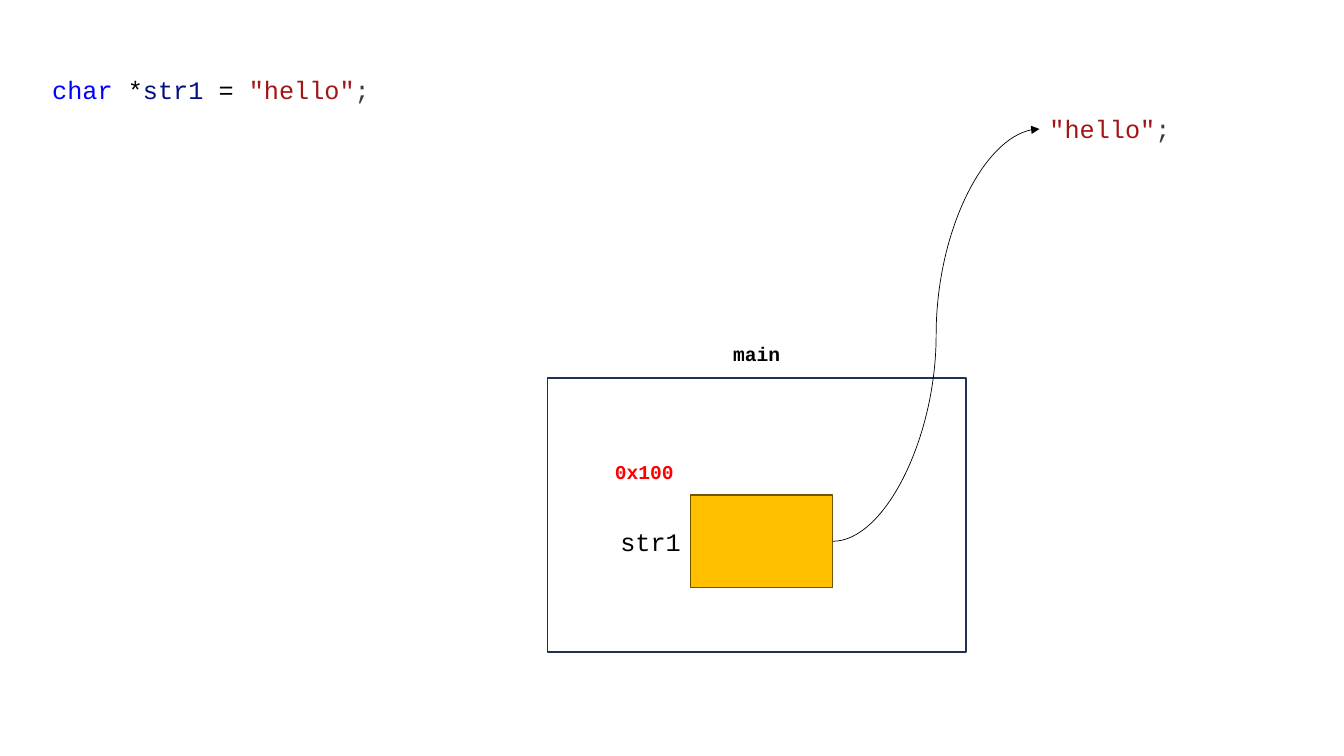
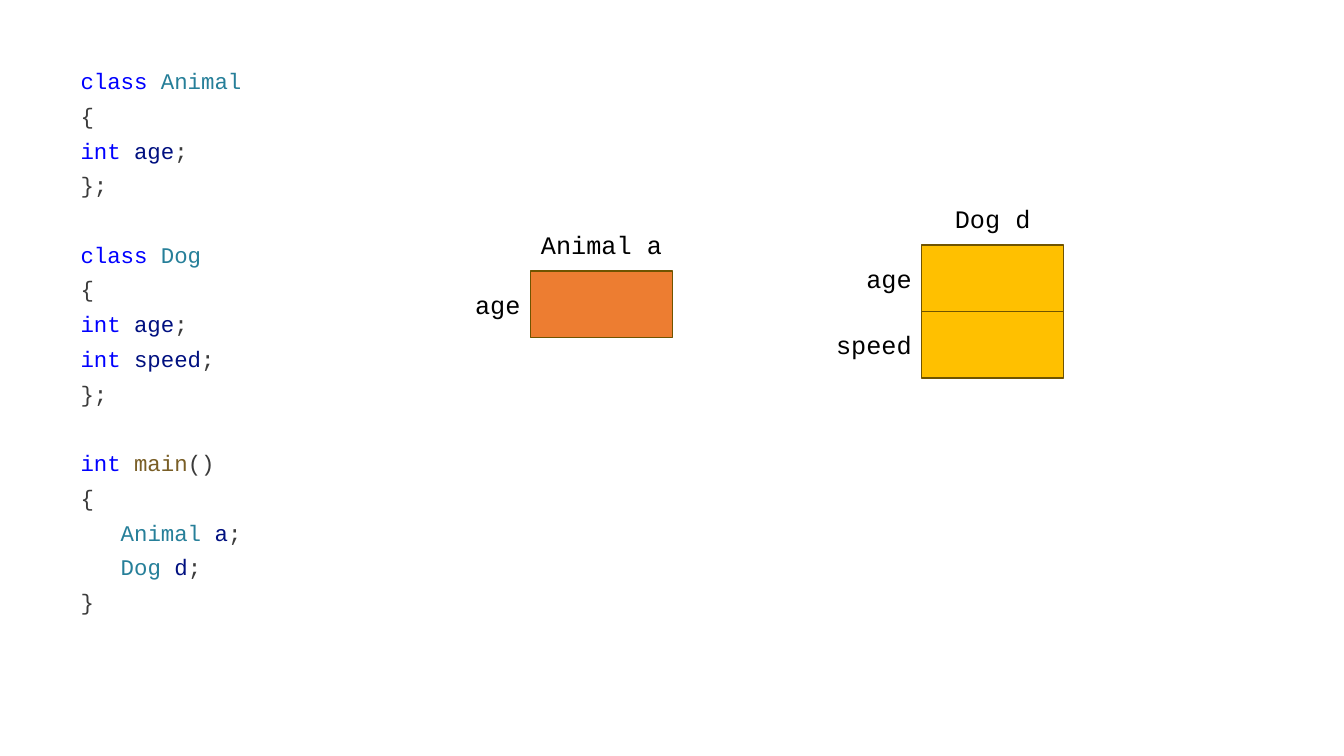
import pptx
import pptx.dml.color
import pptx.enum.shapes
import pptx.enum.text
import pptx.oxml
import pptx.oxml.ns
import pptx.util

Inches = pptx.util.Inches
Pt = pptx.util.Pt
RGBColor = pptx.dml.color.RGBColor
Align = pptx.enum.text.PP_ALIGN

BLACK = RGBColor(0x00, 0x00, 0x00)
WHITE = RGBColor(0xFF, 0xFF, 0xFF)
RED = RGBColor(0xFF, 0x00, 0x00)
AMBER = RGBColor(0xFF, 0xC0, 0x00)
ORANGE = RGBColor(0xED, 0x7D, 0x31)
CELL_BORDER = RGBColor(0x70, 0x54, 0x00)
FRAME_BORDER = RGBColor(0x1E, 0x32, 0x56)
KEYWORD = RGBColor(0x00, 0x00, 0xFF)
TYPE = RGBColor(0x26, 0x7F, 0x99)
VARIABLE = RGBColor(0x00, 0x10, 0x80)
FUNCTION = RGBColor(0x79, 0x5E, 0x26)
STRING = RGBColor(0xA3, 0x15, 0x15)
PUNCTUATION = RGBColor(0x3B, 0x3B, 0x3B)

HELLO = [('"hello"', STRING), (";", PUNCTUATION)]
OPENING = [("{", PUNCTUATION)]
CLOSING = [("};", PUNCTUATION)]


def declaration(type_name, name, colour=KEYWORD):
    return [(type_name + " ", colour), (name, VARIABLE), (";", PUNCTUATION)]


def class_block(name, members):
    fields = [declaration("int", member) for member in members]
    return [[("class ", KEYWORD), (name, TYPE)], OPENING, *fields, CLOSING]


class MemoryDeck:
    """Holds the style and the current slide of a memory-diagram deck."""

    FONT = "Courier New"
    CODE_LINE = Pt(24.8)
    CELL_WIDTH = 1.41
    LABEL_WIDTH = 1.15
    LABEL_HEIGHT = 0.4

    def __init__(self):
        self.presentation = pptx.Presentation()
        self.presentation.slide_width = Inches(13.33)
        self.presentation.slide_height = Inches(7.5)
        self.slide = None

    def new_slide(self):
        self.slide = self.presentation.slides.add_slide(
            self.presentation.slide_layouts[6])

    def text_box(self, left, top, width, height):
        box = self.slide.shapes.add_textbox(
            Inches(left), Inches(top), Inches(width), Inches(height))
        box.text_frame.word_wrap = True
        return box

    def fill_paragraph(self, paragraph, runs, size=18, bold=False,
                       **paragraph_format):
        """Fill a paragraph with (text, colour) runs."""
        for name, value in paragraph_format.items():
            setattr(paragraph, name, value)
        font_format = {"name": self.FONT, "size": Pt(size), "bold": bold}
        for text, colour in runs:
            run = paragraph.add_run()
            run.text = text
            for name, value in font_format.items():
                setattr(run.font, name, value)
            run.font.color.rgb = colour

    def label(self, runs, left, top, width, height=LABEL_HEIGHT,
              alignment=Align.LEFT, **text_format):
        box = self.text_box(left, top, width, height)
        self.fill_paragraph(box.text_frame.paragraphs[0], runs,
                            alignment=alignment, **text_format)
        return box

    def code(self, blocks, left, top, width, height, size):
        """Set blocks of code lines, one line apart from each other."""
        frame = self.text_box(left, top, width, height).text_frame
        for block_index, block in enumerate(blocks):
            for line_index, runs in enumerate(block):
                first = block_index == line_index == 0
                paragraph = frame.paragraphs[0] if first else frame.add_paragraph()
                starts_block = line_index == 0 and not first
                self.fill_paragraph(
                    paragraph, runs, size, line_spacing=self.CODE_LINE,
                    space_before=self.CODE_LINE if starts_block else Pt(0))

    def rectangle(self, left, top, width, height, fill, border):
        shape = self.slide.shapes.add_shape(
            pptx.enum.shapes.MSO_SHAPE.RECTANGLE,
            Inches(left), Inches(top), Inches(width), Inches(height))
        shape.shadow.inherit = False
        shape.fill.solid()
        shape.fill.fore_color.rgb = fill
        shape.line.color.rgb = border
        shape.line.width = Pt(1)
        return shape

    def cell(self, name, left, top, height, fill):
        """Draw a memory cell with its variable name on the left."""
        shape = self.rectangle(left, top, self.CELL_WIDTH, height,
                               fill, CELL_BORDER)
        self.label([(name, BLACK)], left - self.LABEL_WIDTH,
                   top + (height - self.LABEL_HEIGHT) / 2,
                   self.LABEL_WIDTH, alignment=Align.RIGHT)
        return shape

    def instance(self, title, members, left, top, fill, cell_height=0.66):
        """Draw an object as a titled stack of cells."""
        self.label([(title, BLACK)], left, top - 0.46, self.CELL_WIDTH,
                   alignment=Align.CENTER)
        for index, member in enumerate(members):
            self.cell(member, left, top + index * cell_height,
                      cell_height, fill)

    def pointer(self, source, target):
        """Curve an arrow from the right of source to the left of target."""
        connector = self.slide.shapes.add_connector(
            pptx.enum.shapes.MSO_CONNECTOR.CURVE, 0, 0, 0, 0)
        connector.begin_connect(source, 3)
        connector.end_connect(target, 1)
        connector.line.color.rgb = BLACK
        connector.line.width = Pt(0.5)
        namespace = pptx.oxml.ns.nsdecls("a")
        properties = connector.element.spPr
        properties.find(pptx.oxml.ns.qn("a:ln")).append(
            pptx.oxml.parse_xml(f'<a:tailEnd {namespace} type="triangle"/>'))
        properties.append(
            pptx.oxml.parse_xml(f"<a:effectLst {namespace}/>"))


def string_pointer_slide(deck):
    deck.new_slide()
    statement = [("char ", KEYWORD), ("*", BLACK), ("str1 ", VARIABLE),
                 ("= ", BLACK), *HELLO]
    deck.code([[statement]], 0.42, 0.64, 6.66, 0.44, size=18)
    deck.rectangle(5.43, 3.75, 4.15, 2.72, WHITE, FRAME_BORDER)
    deck.label([("main", BLACK)], 5.43, 3.34, 4.15, 0.34,
               alignment=Align.CENTER, size=14, bold=True)
    variable = deck.cell("str1", 6.85, 4.91, 0.92, AMBER)
    deck.label([("0x100", RED)], 6, 4.51, 1.79, 0.34, size=14, bold=True)
    literal = deck.label(HELLO, 10.31, 1.08, 2.12)
    deck.pointer(variable, literal)


def inheritance_slide(deck):
    deck.new_slide()
    main_block = [
        [("int ", KEYWORD), ("main", FUNCTION), ("()", PUNCTUATION)],
        OPENING,
        declaration("   Animal", "a", TYPE),
        declaration("   Dog", "d", TYPE),
        [("}", PUNCTUATION)],
    ]
    blocks = [class_block("Animal", ["age"]),
              class_block("Dog", ["age", "speed"]), main_block]
    deck.code(blocks, 0.7, 0.54, 3.88, 5.7, size=16)
    deck.instance("Animal a", ["age"], 5.26, 2.69, ORANGE)
    deck.instance("Dog d", ["age", "speed"], 9.14, 2.43, AMBER)


def main():
    deck = MemoryDeck()
    string_pointer_slide(deck)
    inheritance_slide(deck)
    deck.presentation.save("out.pptx")


if __name__ == "__main__":
    main()
